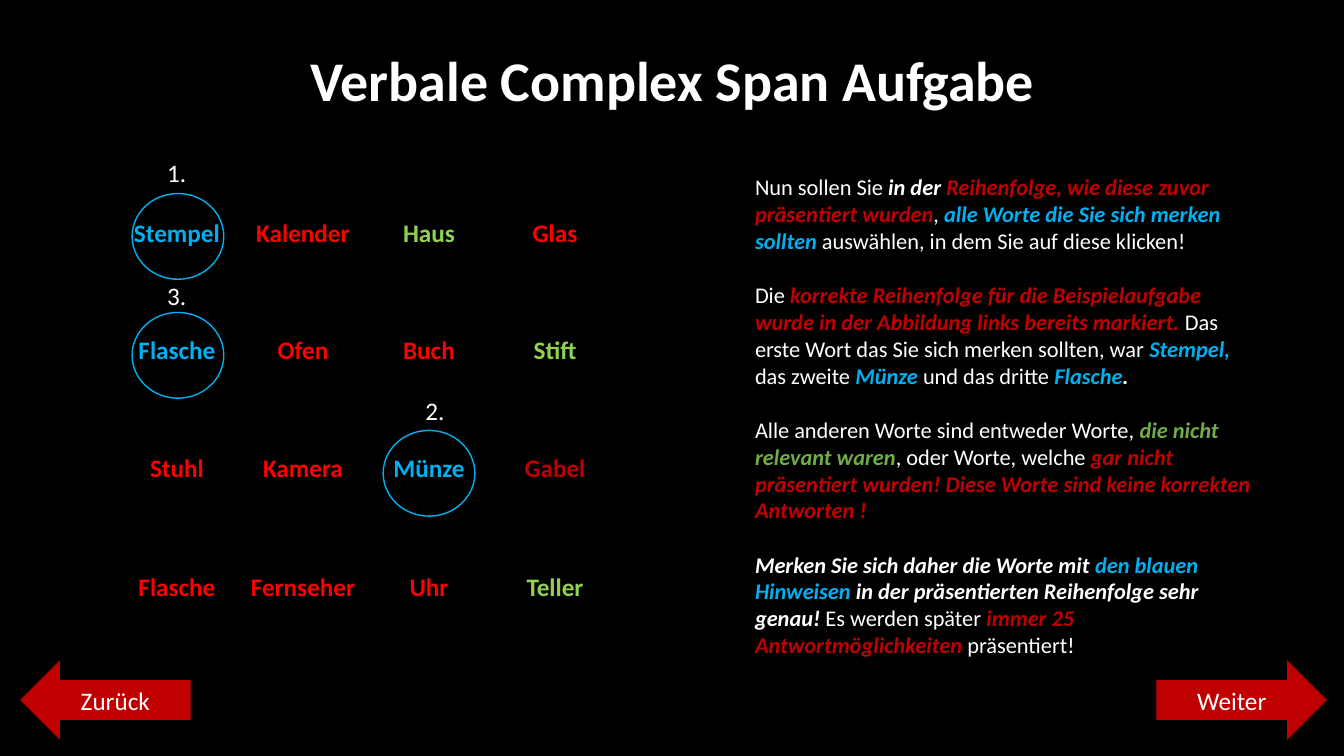
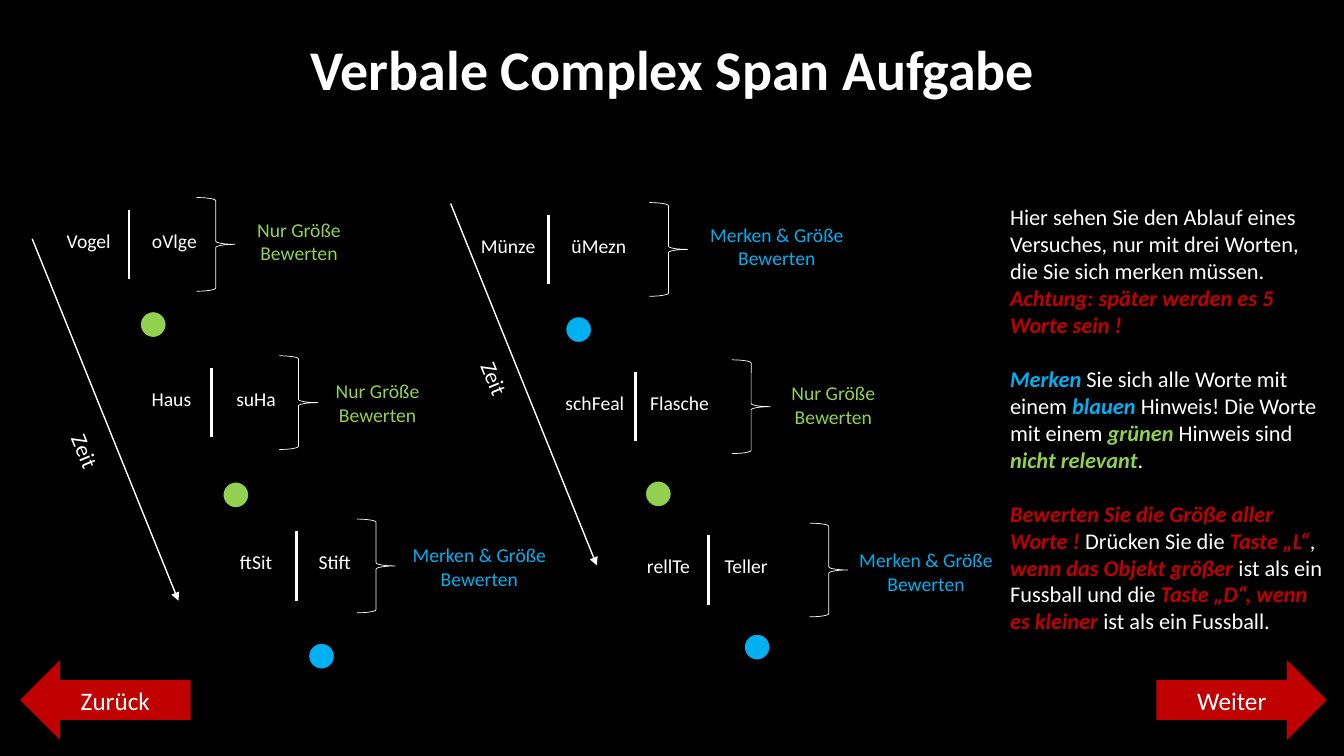
from typing import NamedTuple

from pptx import Presentation
from pptx.dml.color import RGBColor
from pptx.enum import shapes, text
from pptx.oxml.ns import qn
from pptx.util import Pt
from lxml import etree

# Shared look
PX = 9144  # 100 px to the inch
FONT = "Calibri"
TITLE = "Verbale Complex Span Aufgabe"
BLACK, WHITE = "000000", "FFFFFF"
BLUE, GREEN, LEAF = "01B0F1", "92D14F", "70AD47"
RED, DARK_RED = "FF0000", "C00000"
HINTS = {GREEN: ("Nur Größe Bewerten", 139), BLUE: ("Merken & Größe Bewerten", 167)}
CENTER = text.PP_ALIGN.CENTER
SHAPE = shapes.MSO_SHAPE

# Slide 1: answer grid, one (word, colour) per cell
ANSWERS = [
    [("Stempel", BLUE), ("Kalender", RED), ("Haus", GREEN), ("Glas", RED)],
    [("Flasche", BLUE), ("Ofen", RED), ("Buch", RED), ("Stift", GREEN)],
    [("Stuhl", RED), ("Kamera", RED), ("Münze", BLUE), ("Gabel", DARK_RED)],
    [("Flasche", RED), ("Fernseher", RED), ("Uhr", RED), ("Teller", GREEN)],
]
ROW_HEIGHTS = [116, 116, 119, 116]
# Number, its left and top, then left and top of the ring
MARKS = [("1.", 156, 151, 131, 192), ("2.", 412, 387, 380, 427),
         ("3.", 156, 273, 131, 310)]

# Body text: a plain string is white, a (string, colour) pair is bold italic
ORDER_TEXT = [
    ["Nun sollen Sie ", ("in der ", WHITE),
     ("Reihenfolge, wie diese zuvor präsentiert wurden", DARK_RED), ", ",
     ("alle Worte die Sie sich merken sollten ", BLUE),
     "auswählen, in dem Sie auf diese klicken!"],
    ["Die ", ("korrekte Reihenfolge für die Beispielaufgabe wurde in der "
              "Abbildung links bereits markiert. ", DARK_RED),
     "Das erste Wort das Sie sich merken sollten, war ", ("Stempel, ", BLUE),
     "das zweite ", ("Münze ", BLUE), "und das dritte ", ("Flasche", BLUE),
     (".", WHITE)],
    ["Alle anderen Worte sind entweder Worte, ", ("die nicht relevant waren", LEAF),
     ", oder Worte, welche ",
     ("gar nicht präsentiert wurden! Diese Worte sind keine korrekten Antworten !",
      DARK_RED)],
    [("Merken Sie sich daher die Worte mit ", WHITE), ("den blauen Hinweisen", BLUE),
     (" in der präsentierten Reihenfolge sehr genau! ", WHITE),
     "Es werden später ", ("immer 25 Antwortmöglichkeiten", DARK_RED),
     " präsentiert!"],
]
TRIAL_TEXT = [
    ["Hier sehen Sie den Ablauf eines Versuches, nur mit drei Worten, "
     "die Sie sich merken müssen. ",
     ("Achtung: später werden es 5 Worte sein !", DARK_RED)],
    [("Merken", BLUE), " Sie sich alle Worte mit einem ", ("blauen ", BLUE),
     "Hinweis! Die Worte mit einem ", ("grünen ", GREEN), "Hinweis sind ",
     ("nicht relevant", GREEN), "."],
    [("Bewerten Sie die Größe aller Worte ! ", DARK_RED), "Drücken Sie die ",
     ("Taste „L“", DARK_RED), ", ", ("wenn das Objekt größer ", DARK_RED),
     "ist als ein Fussball und die ", ("Taste „D“, wenn es kleiner ", DARK_RED),
     "ist als ein Fussball."],
]


class Step(NamedTuple):
    """One word pair: divider x, top of the words, and the parts around it."""
    x: int
    y: int
    left: str
    right: str
    right_mid: int
    brace: int
    dot: tuple
    hint_mid: int
    hint_top: int
    color: str


STEPS = [
    Step(128, 222, "Vogel", "oVlge", 173, 195, (139, 309), 296, 211, GREEN),
    Step(210, 379, "Haus", "suHa", 254, 277, (221, 478), 374, 371, GREEN),
    Step(294, 541, "ftSit", "Stift", 332, 354, (306, 638), 475, 534, BLUE),
    Step(544, 227, "Münze", "üMezn", 594, 644, (561, 314), 770, 216, BLUE),
    Step(630, 383, "schFeal", "Flasche", 674, 726, (640, 477), 826, 373, GREEN),
    Step(703, 545, "rellTe", "Teller", 740, 803, (738, 629), 918, 539, BLUE),
]
# Start of each time arrow and centre of its label
TIMELINES = [((32, 237), (84, 447)), ((447, 202), (490, 375))]


# Helpers
def px(*lengths):
    return [length * PX for length in lengths]


def rgb(value):
    return RGBColor.from_string(value)


def style(para, size, color=WHITE, bold=False, align=None):
    font = para.font
    font.name, font.size, font.bold = FONT, Pt(size), bold
    font.color.rgb = rgb(color)
    para.alignment = align


def add_label(page, words, left, top, width, height, size, color=WHITE, align=CENTER):
    box = page.shapes.add_textbox(*px(left, top, width, height))
    box.text_frame.word_wrap = True
    box.text_frame.text = words
    style(box.text_frame.paragraphs[0], size, color, align=align)
    return box


def add_body(page, paragraphs, left, top, width, height):
    frame = page.shapes.add_textbox(*px(left, top, width, height)).text_frame
    frame.word_wrap = True
    for index, spans in enumerate(paragraphs):
        para = frame.add_paragraph() if index else frame.paragraphs[0]
        style(para, 16)
        para.space_before = Pt(19.5 if index else 0)
        for part in spans:
            span = para.add_run()
            if isinstance(part, str):
                span.text = part
            else:
                span.text, color = part
                span.font.bold = span.font.italic = True
                span.font.color.rgb = rgb(color)


def add_preset(page, kind, left, top, width, height, fill=None, line=None, weight=1):
    shape = page.shapes.add_shape(kind, *px(left, top, width, height))
    shape.shadow.inherit = False
    if fill:
        shape.fill.solid()
        shape.fill.fore_color.rgb = rgb(fill)
    else:
        shape.fill.background()
    if line:
        shape.line.color.rgb = rgb(line)
        shape.line.width = Pt(weight)
    else:
        shape.line.fill.background()
    return shape


def add_line(page, x1, y1, x2, y2, weight, arrow=False):
    line = page.shapes.add_connector(shapes.MSO_CONNECTOR.STRAIGHT, *px(x1, y1, x2, y2))
    line.line.color.rgb = rgb(WHITE)
    line.line.width = Pt(weight)
    if arrow:
        etree.SubElement(line.line._get_or_add_ln(), qn("a:tailEnd"), type="triangle")
    etree.SubElement(line._element.spPr, qn("a:effectLst"))


def add_button(page, kind, words, left):
    button = add_preset(page, kind, left, 655, 169, 79, fill=DARK_RED)
    button.text_frame.text = words
    button.text_frame.vertical_anchor = text.MSO_ANCHOR.MIDDLE
    style(button.text_frame.paragraphs[0], 18, align=CENTER)


def add_page(deck, title_top):
    page = deck.slides.add_slide(deck.slide_layouts[5])
    title = page.shapes.title
    title.left, title.top, title.width, title.height = px(280, title_top, 774, 77)
    frame = title.text_frame
    frame.text = TITLE
    frame.word_wrap = False
    frame.auto_size = text.MSO_AUTO_SIZE.NONE
    frame.vertical_anchor = text.MSO_ANCHOR.MIDDLE
    style(frame.paragraphs[0], 40, bold=True, align=CENTER)
    add_button(page, SHAPE.LEFT_ARROW, "Zurück", 20)
    add_button(page, SHAPE.RIGHT_ARROW, "Weiter", 1147)
    return page


def add_answer_table(page):
    frame = page.shapes.add_table(4, 4, *px(113, 174, 500, sum(ROW_HEIGHTS)))
    table = frame.table
    table.first_row = table.horz_banding = False
    for row, height, answers in zip(table.rows, ROW_HEIGHTS, ANSWERS):
        row.height = height * PX
        for cell, (word, color) in zip(row.cells, answers):
            cell.text = word
            cell.vertical_anchor = text.MSO_ANCHOR.MIDDLE
            style(cell.text_frame.paragraphs[0], 18, color, bold=True, align=CENTER)
            borders = cell._tc.get_or_add_tcPr()
            for side in ("a:lnL", "a:lnR", "a:lnT", "a:lnB"):
                etree.SubElement(etree.SubElement(borders, qn(side)), qn("a:noFill"))
            cell.fill.background()


def add_step(page, step):
    add_line(page, step.x, step.y - 14, step.x, step.y + 55, 2)
    for word, middle in ((step.left, step.x - 40), (step.right, step.right_mid)):
        add_label(page, word, middle - 41, step.y, 82, 34, 14)
    add_preset(page, SHAPE.RIGHT_BRACE, step.brace, step.y - 26, 38, 93,
               line=WHITE, weight=0.5)
    add_preset(page, SHAPE.OVAL, *step.dot, 26, 26, fill=step.color, line=BLACK)
    hint, width = HINTS[step.color]
    add_label(page, hint, step.hint_mid - width // 2, step.hint_top, width, 57, 14,
              step.color)


def add_timeline(page, start, label):
    x, y = start
    add_line(page, x, y, x + 145, y + 359, 1, arrow=True)
    middle_x, middle_y = label
    box = add_label(page, "Zeit", middle_x - 62, middle_y - 18, 125, 37, 16)
    box.rotation = 67.5


# Slides
def build_order_page(deck):
    page = add_page(deck, 40)
    add_answer_table(page)
    add_body(page, ORDER_TEXT, 739, 167, 523, 522)
    for number, left, top, ring_left, ring_top in MARKS:
        add_preset(page, SHAPE.OVAL, ring_left, ring_top, 91, 85, line=BLUE)
        add_label(page, number, left, top, 41, 40, 18, align=None)


def build_trial_page(deck):
    page = add_page(deck, 29)
    for step in STEPS:
        add_step(page, step)
    for start, label in TIMELINES:
        add_timeline(page, start, label)
    add_body(page, TRIAL_TEXT, 992, 197, 331, 471)


def main():
    deck = Presentation()
    deck.slide_width, deck.slide_height = px(1333, 750)
    background = deck.slide_master.background.fill
    background.solid()
    background.fore_color.rgb = rgb(BLACK)
    build_order_page(deck)
    build_trial_page(deck)
    deck.save("out.pptx")


if __name__ == "__main__":
    main()
